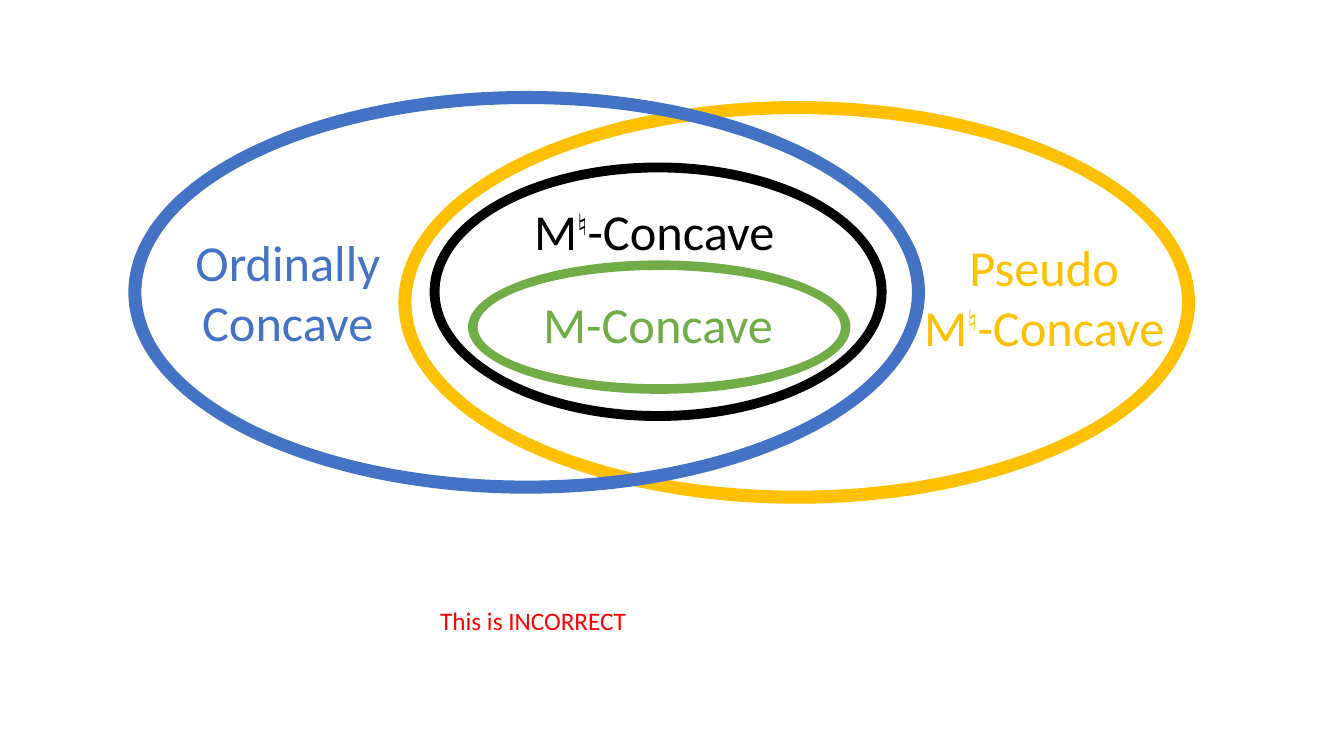
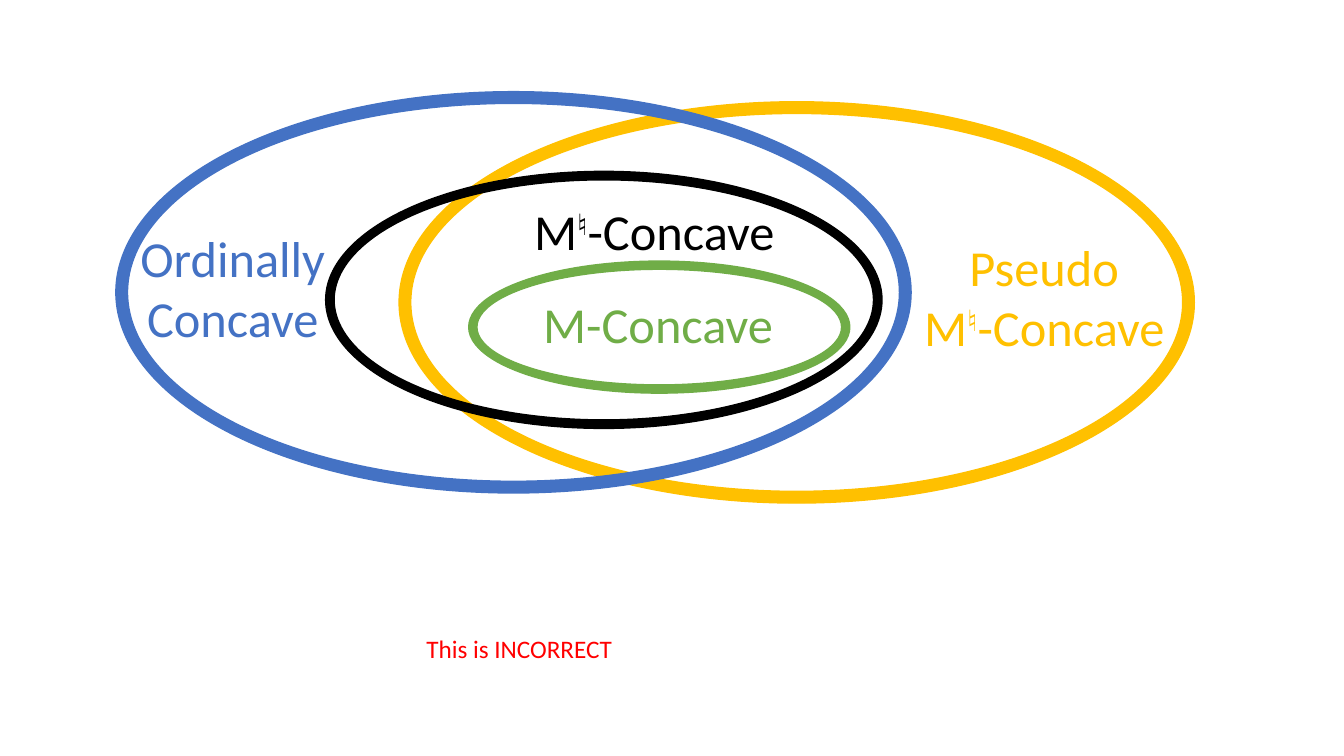
from pptx import Presentation
from pptx import util as u
from pptx.dml.color import RGBColor
from pptx.enum import shapes, text

hues = {
    "gold": "FFC000",
    "blue": "4472C4",
    "green": "70AD47",
    "black": "000000",
    "red": "FF0000",
}
sign = "♮"


def ring(slide, box, hue, band):
    shape = slide.shapes.add_shape(shapes.MSO_SHAPE.DONUT, *map(u.Pt, box))
    shape.shadow.inherit = False
    shape.adjustments[0] = band
    color = RGBColor.from_string(hues[hue])
    shape.fill.solid()
    shape.fill.fore_color.rgb = color
    shape.line.color.rgb = color
    shape.line.width = u.Pt(1)


def label(slide, words, box, hue, size=36, align="CENTER", wrap=True):
    frame = slide.shapes.add_textbox(*map(u.Pt, box)).text_frame
    frame.word_wrap = wrap
    for row, line in enumerate(words.split("\n")):
        para = frame.add_paragraph() if row else frame.paragraphs[0]
        para.alignment = getattr(text.PP_ALIGN, align)
        for part in filter(None, line.partition(sign)):
            run = para.add_run()
            run.text = part
            run.font.name = "Calibri"
            run.font.size = u.Pt(size)
            run.font.color.rgb = RGBColor.from_string(hues[hue])
            if part == sign:
                run.font._element.set("baseline", "30000")


deck = Presentation()
deck.slide_width, deck.slide_height = u.Pt(960), u.Pt(540)

wide, tall = 568, 286.6
plans = [
    {
        "blue": 92.2,
        "black": (307.4, 116.6, 325.4, 183.6),
        "name": (131.8, 161.3, 147.6, 94.3),
        "note": (307.4, 429.1, 148.3, 28.8),
    },
    {
        "blue": 82.8,
        "black": (232.6, 122.4, 397.4, 183.6),
        "name": (87.1, 158.4, 158.4, 94.3),
        "note": (297.4, 448.6, 148.3, 28.8),
    },
]

for plan in plans:
    slide = deck.slides.add_slide(deck.slide_layouts[6])
    ring(slide, (285.1, 72.7, wide, tall), "gold", 0.029)
    label(slide, "Ordinally\nConcave", plan["name"], "blue", wrap=False)
    label(slide, "Pseudo\nM♮-Concave", (650.9, 164.9, 190, 94.3), "gold", wrap=False)
    ring(slide, (334.8, 186.5, 272.2, 94.3), "green", 0.062)
    label(slide, "M-Concave", (347, 205.9, 246.2, 51), "green")
    ring(slide, plan["black"], "black", 0.033)
    label(slide, "M♮-Concave", (374.4, 139.7, 325.4, 51), "black", align="LEFT")
    ring(slide, (plan["blue"], 65.5, wide, tall), "blue", 0.029)
    label(slide, "This is INCORRECT", plan["note"], "red", size=18, align="LEFT", wrap=False)

deck.save("out.pptx")
